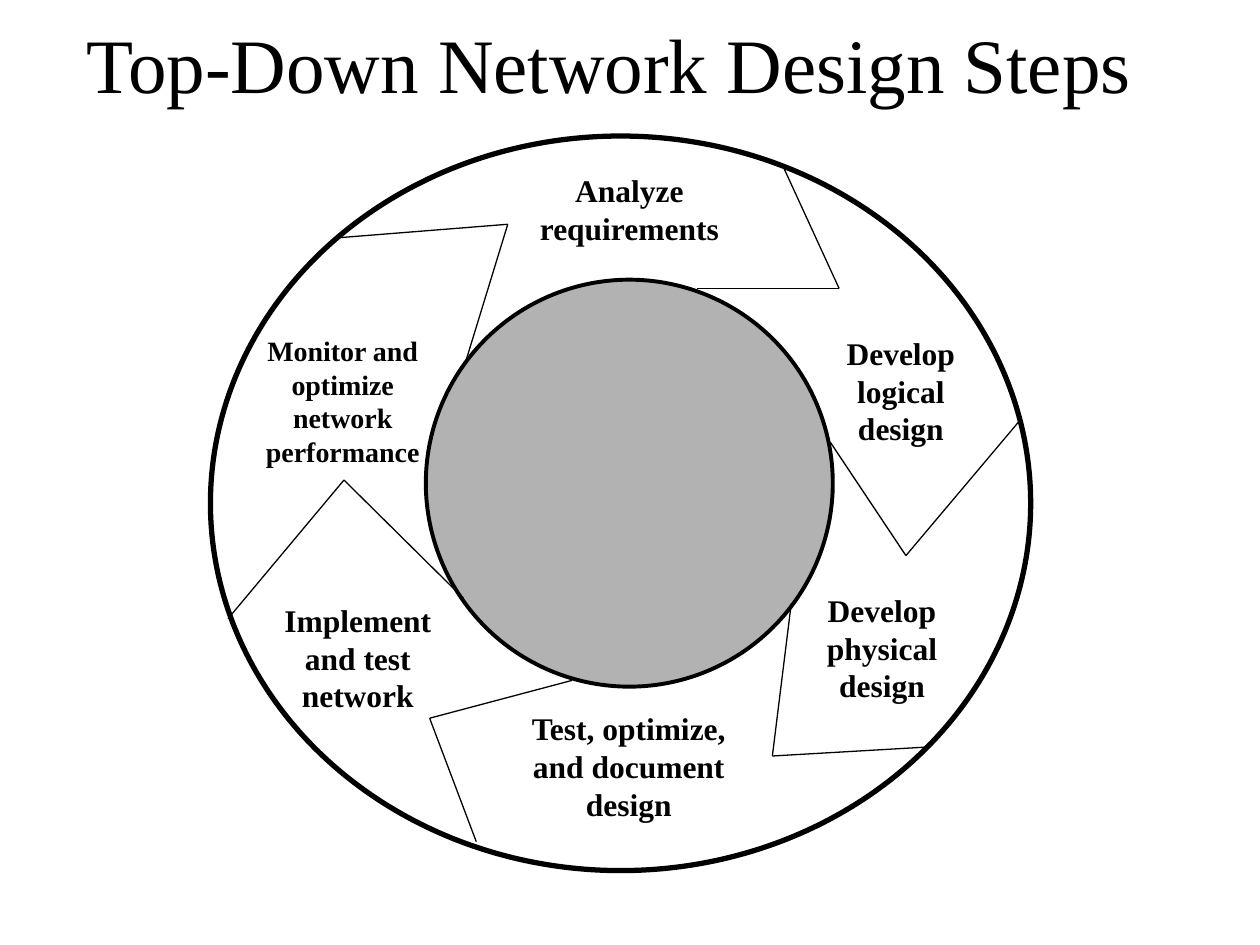
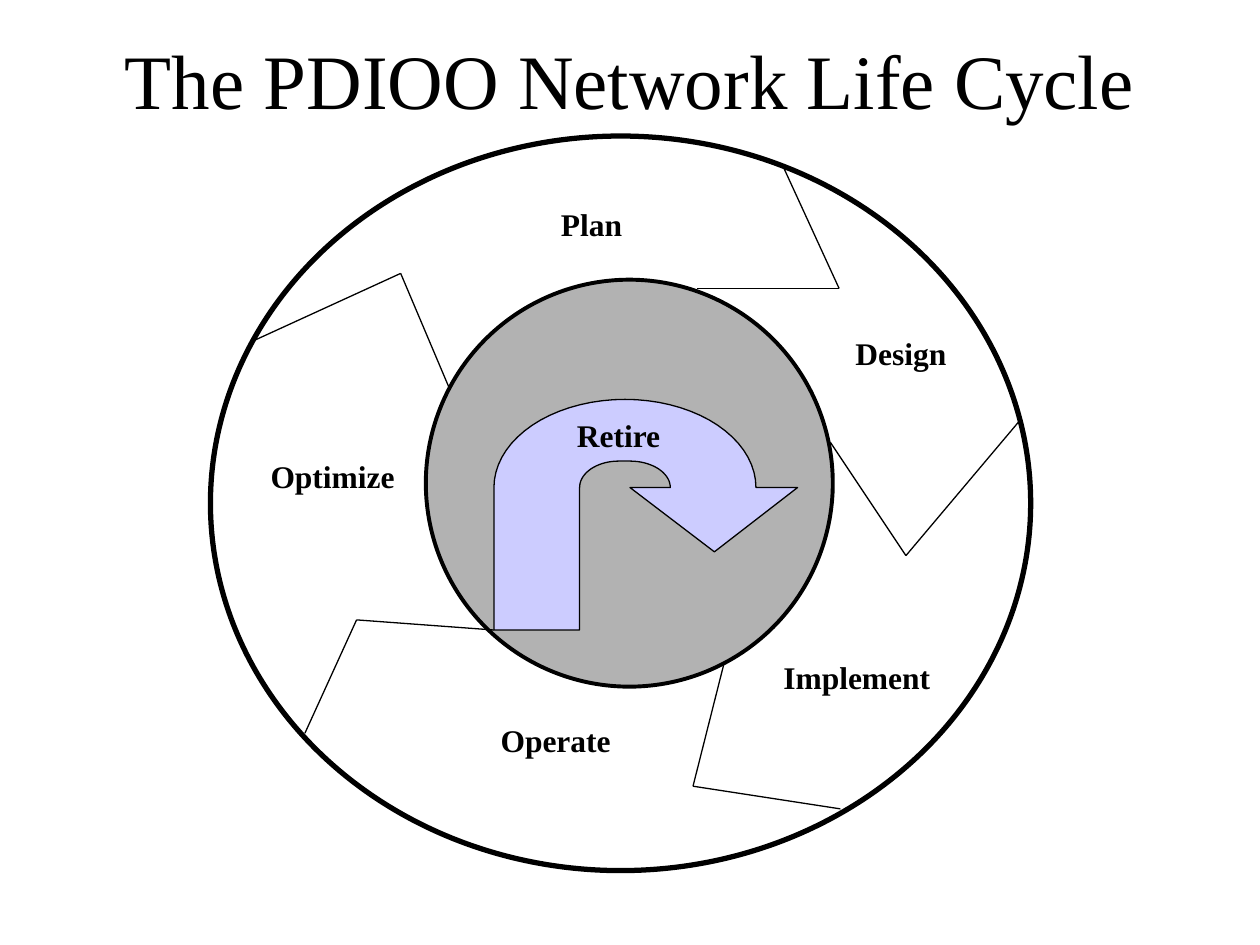
import math
from dataclasses import dataclass
from typing import NamedTuple

import pptx
import pptx.dml.color
import pptx.enum.shapes
import pptx.enum.text
import pptx.oxml
import pptx.util

COLS, ROWS = 100, 75


@dataclass(frozen=True)
class Theme:
    font: str = "Times New Roman"
    ink: str = "000000"
    hub: str = "B2B2B2"
    arrow: str = "CCCCFF"
    title: float = 44
    label: float = 18
    small: float = 16
    rim_line: float = 3
    hub_line: float = 2.25
    thin_line: float = 0.75


class Point(NamedTuple):
    col: float
    row: float


class Box(NamedTuple):
    col: float
    row: float
    cols: float
    rows: float


class Label(NamedTuple):
    text: str
    box: Box
    size: float


class Chevron(NamedTuple):
    rim: Point
    tip: Point
    hub: Point


@dataclass(frozen=True)
class Cycle:
    title: str
    title_box: Box
    labels: list[Label]
    chevrons: list[Chevron]
    has_retire: bool = False


THEME = Theme()
RIM = Box(16.7, 10.8, 65.1, 58.3)
HUB = Box(33.8, 22.2, 32.3, 32.3)
TURN_COL = 49.6

SHARED_CHEVRONS = [
    Chevron(Point(62.1, 13.1), Point(66.6, 22.9), Point(55.3, 22.9)),
    Chevron(Point(81, 33.3), Point(71.9, 44.1), Point(65.9, 35.1)),
]

CYCLES = [
    Cycle(
        "Top-Down Network Design Steps",
        Box(4.2, 0, 88.3, 10),
        [
            Label("Analyze requirements", Box(40.5, 13.1, 18.9, 7), THEME.label),
            Label("Develop logical design", Box(64.3, 26, 14.4, 10), THEME.label),
            Label("Develop physical design", Box(62.8, 46.4, 14.4, 10), THEME.label),
            Label("Test, optimize, and document design", Box(40.8, 55.8, 18.2, 10), THEME.label),
            Label("Implement and test network", Box(21.2, 47.2, 14.4, 10), THEME.label),
            Label("Monitor and optimize network performance", Box(18.9, 26, 16.6, 11.7), THEME.small),
        ],
        SHARED_CHEVRONS + [
            Chevron(Point(73.4, 59.3), Point(61.3, 60), Point(62.8, 47.9)),
            Chevron(Point(37.8, 66.8), Point(34.1, 57), Point(45.4, 54)),
            Chevron(Point(18.1, 49.1), Point(27.3, 38.1), Point(36.8, 47.5)),
            Chevron(Point(26.5, 18.9), Point(40.3, 17.8), Point(36.9, 28.9)),
        ],
    ),
    Cycle(
        "The PDIOO Network Life Cycle",
        Box(7.5, 0, 85, 12.5),
        [
            Label("Plan", Box(37.5, 15.8, 18.9, 4), THEME.label),
            Label("Design", Box(64.3, 26, 14.4, 4), THEME.label),
            Label("Implement", Box(60.8, 51.7, 14.4, 4), THEME.label),
            Label("Operate", Box(35, 56.7, 18.2, 4), THEME.label),
            Label("Optimize", Box(19.2, 35.8, 14.4, 4), THEME.label),
            Label("Retire", Box(40, 32.5, 18.2, 4), THEME.label),
        ],
        SHARED_CHEVRONS + [
            Chevron(Point(66.7, 64.2), Point(55, 62.4), Point(57.5, 52.5)),
            Chevron(Point(24.2, 58.2), Point(28.3, 49.2), Point(39.2, 50)),
            Chevron(Point(20, 27.1), Point(31.8, 21.7), Point(35.7, 30.9)),
        ],
        True,
    ),
]


class Canvas:
    def __init__(self, prs) -> None:
        self.s = prs.slides.add_slide(prs.slide_layouts[6])
        self.cell_w = prs.slide_width / COLS
        self.cell_h = prs.slide_height / ROWS

    def x(self, cols: float) -> int:
        return round(cols * self.cell_w)

    def y(self, rows: float) -> int:
        return round(rows * self.cell_h)

    def place(self, box: Box) -> tuple[int, int, int, int]:
        return self.x(box.col), self.y(box.row), self.x(box.cols), self.y(box.rows)

    def text(self, text: str, box: Box, *, size: float, bold: bool = False,
             anchor=pptx.enum.text.MSO_ANCHOR.TOP) -> None:
        tf = self.s.shapes.add_textbox(*self.place(box)).text_frame
        tf.word_wrap = True
        tf.vertical_anchor = anchor
        p = tf.paragraphs[0]
        p.alignment = pptx.enum.text.PP_ALIGN.CENTER
        r = p.add_run()
        r.text = text
        r.font.name = THEME.font
        r.font.size = pptx.util.Pt(size)
        r.font.bold = bold
        r.font.color.rgb = rgb(THEME.ink)

    def ring(self, box: Box, *, width: float, fill: str | None = None) -> None:
        sp = self.s.shapes.add_shape(pptx.enum.shapes.MSO_SHAPE.OVAL, *self.place(box))
        paint(sp, width=width, fill=fill)

    def segment(self, start: Point, end: Point) -> None:
        sp = self.s.shapes.add_connector(
            pptx.enum.shapes.MSO_CONNECTOR.STRAIGHT,
            self.x(start.col), self.y(start.row), self.x(end.col), self.y(end.row))
        stroke(sp, THEME.thin_line)
        sp._element.spPr.append(pptx.oxml.parse_xml(
            '<a:effectLst xmlns:a="http://schemas.openxmlformats.org/drawingml/2006/main"/>'))

    def chevron(self, chevron: Chevron) -> None:
        self.segment(chevron.rim, chevron.tip)
        self.segment(chevron.tip, chevron.hub)

    def outline(self, points: list[Point], *, fill: str) -> None:
        start, *rest = [(self.x(pt.col), self.y(pt.row)) for pt in points]
        builder = self.s.shapes.build_freeform(*start)
        builder.add_line_segments(rest, close=True)
        paint(builder.convert_to_shape(), width=THEME.thin_line, fill=fill)


def rgb(value: str) -> pptx.dml.color.RGBColor:
    return pptx.dml.color.RGBColor.from_string(value)


def stroke(sp, width: float) -> None:
    sp.line.color.rgb = rgb(THEME.ink)
    sp.line.width = pptx.util.Pt(width)


def paint(sp, *, width: float, fill: str | None) -> None:
    sp.shadow.inherit = False
    stroke(sp, width)
    if fill is None:
        sp.fill.background()
    else:
        sp.fill.solid()
        sp.fill.fore_color.rgb = rgb(fill)


def arc(center: Point, rx: float, ry: float, start: int, end: int) -> list[Point]:
    step = 5 if end > start else -5
    angles = [math.radians(a) for a in range(start, end + step, step)]
    return [Point(center.col + rx * math.cos(a), center.row - ry * math.sin(a)) for a in angles]


def retire_arrow() -> list[Point]:
    return [
        Point(56.7, 43.8),
        Point(63.3, 38.7),
        *arc(Point(TURN_COL, 38.7), 10.4, 7, 0, 180),
        Point(39.2, 50),
        Point(46, 50),
        *arc(Point(49.1, 38.7), 3.1, 2.1, 180, 90),
        *arc(Point(50, 38.7), 3.2, 2.1, 90, 0),
        Point(50, 38.7),
    ]


def draw_cycle(prs, cycle: Cycle) -> None:
    canvas = Canvas(prs)
    canvas.text(cycle.title, cycle.title_box, size=THEME.title,
                anchor=pptx.enum.text.MSO_ANCHOR.MIDDLE)
    canvas.ring(RIM, width=THEME.rim_line)
    canvas.ring(HUB, width=THEME.hub_line, fill=THEME.hub)
    for chevron in cycle.chevrons:
        canvas.chevron(chevron)
    if cycle.has_retire:
        canvas.outline(retire_arrow(), fill=THEME.arrow)
    for label in cycle.labels:
        canvas.text(label.text, label.box, size=label.size, bold=True)


def main() -> None:
    prs = pptx.Presentation()
    prs.slide_width = pptx.util.Inches(10)
    prs.slide_height = pptx.util.Inches(7.5)
    for cycle in CYCLES:
        draw_cycle(prs, cycle)
    prs.save("out.pptx")


if __name__ == "__main__":
    main()
